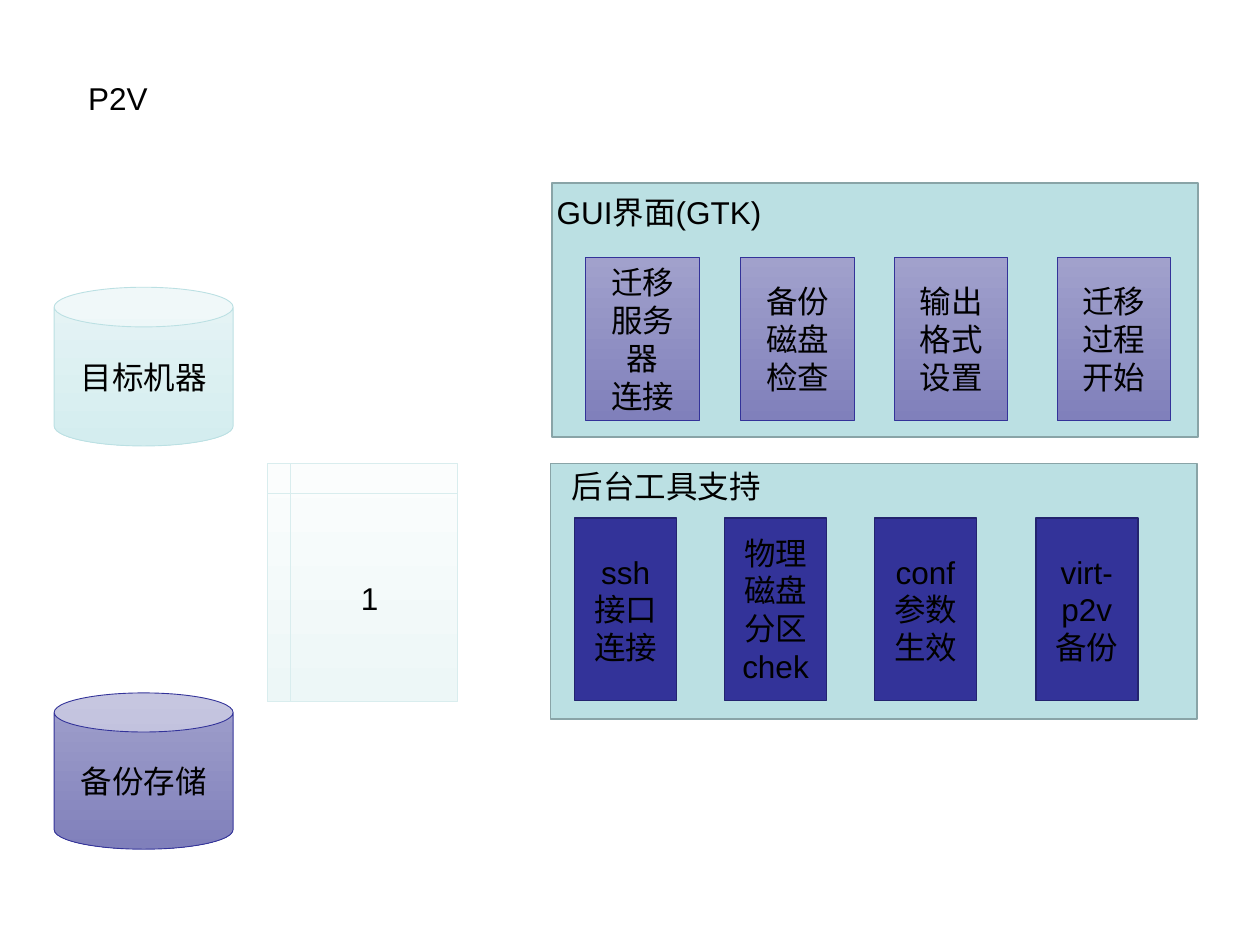
from collections import namedtuple

from pptx import Presentation
from pptx import util as u
from pptx.dml.color import RGBColor
from pptx.enum import shapes, text

COLORS = {
    "text": "000000",
    "panel": "BBE0E3", "panel_line": "89A4A7",
    "tool": "333399", "tool_line": "23236F",
    "violet_top": "A1A1CC", "violet_bottom": "8080BB",
    "aqua_top": "E6F4F5", "aqua_bottom": "D4EDEF",
    "pale_top": "FBFDFD", "pale_bottom": "EDF7F7", "pale_line": "D9EDEE",
}
COLUMNS, ROWS = 100, 75
WIDTH, HEIGHT = u.Inches(10), u.Inches(7.5)

Box = namedtuple("Box", "left top width height")
Style = namedtuple("Style", "fills line weight")

PANEL = Style(["panel"], "panel_line", 1)
TOOL = Style(["tool"], "tool_line", 1)
VIOLET = Style(["violet_top", "violet_bottom"], "tool", 0.5)
AQUA = Style(["aqua_top", "aqua_bottom"], "panel", 0.5)
PALE = Style(["pale_top", "pale_bottom"], "pale_line", 0.5)


def color(name):
    """Return the named colour."""
    return RGBColor.from_string(COLORS[name])


def on_grid(box):
    """Turn columns and rows into slide lengths."""
    return (int(box.left * WIDTH / COLUMNS), int(box.top * HEIGHT / ROWS),
            int(box.width * WIDTH / COLUMNS), int(box.height * HEIGHT / ROWS))


def write(shape, words, align, anchor, wrap):
    """Write and format the paragraphs of a shape."""
    frame = shape.text_frame
    frame.text = words
    frame.word_wrap = wrap
    frame.auto_size = text.MSO_AUTO_SIZE.NONE
    frame.vertical_anchor = anchor
    for paragraph in frame.paragraphs:
        paragraph.alignment = align
        paragraph.font.name = "Arial"
        paragraph.font.size = u.Pt(18)
        paragraph.font.color.rgb = color("text")


def write_label(shape, words):
    """Write one unwrapped line at the top left of a shape."""
    write(shape, words, text.PP_ALIGN.LEFT, text.MSO_ANCHOR.TOP, False)


def add_block(slide, kind, box, style, words=""):
    """Add a filled preset shape with centred words."""
    shape = slide.shapes.add_shape(kind, *on_grid(box))
    shape.shadow.inherit = False
    if len(style.fills) == 1:
        shape.fill.solid()
        shape.fill.fore_color.rgb = color(style.fills[0])
    else:
        shape.fill.gradient()
        shape.fill.gradient_angle = 270
        for stop, name in zip(shape.fill.gradient_stops, style.fills):
            stop.color.rgb = color(name)
    shape.line.color.rgb = color(style.line)
    shape.line.width = u.Pt(style.weight)
    if words:
        write(shape, words, text.PP_ALIGN.CENTER, text.MSO_ANCHOR.MIDDLE, True)


def add_title(slide, box, words):
    """Place the slide title in its box."""
    title = slide.shapes.title
    title.left, title.top, title.width, title.height = on_grid(box)
    write_label(title, words)


def add_panel(slide, box, heading, heading_box, card_box, style, cards):
    """Add a panel with a heading and a row of cards placed within its box."""
    rectangle = shapes.MSO_SHAPE.RECTANGLE

    def inside(part):
        return part._replace(left=box.left + part.left, top=box.top + part.top)

    add_block(slide, rectangle, box, PANEL)
    label = slide.shapes.add_textbox(*on_grid(inside(heading_box)))
    write_label(label, heading)
    for left, words in cards:
        add_block(slide, rectangle, inside(card_box._replace(left=left)), style, words)


def add_machines(slide, box):
    """Add the target machine, the backup storage and the step between them."""
    can = shapes.MSO_SHAPE.CAN
    storage = shapes.MSO_SHAPE.FLOWCHART_INTERNAL_STORAGE
    target = Box(box.left, box.top, 14.2, 12.6)
    backup = Box(box.left, box.top + box.height - 12.4, 14.2, 12.4)
    step = Box(box.left + box.width - 15.1, box.top + 14, 15.1, 18.9)
    add_block(slide, can, target, AQUA, "目标机器")
    add_block(slide, can, backup, VIOLET, "备份存储")
    add_block(slide, storage, step, PALE, "1 ")


def main():
    """Build the slide and save it."""
    presentation = Presentation()
    presentation.slide_width, presentation.slide_height = WIDTH, HEIGHT
    slide = presentation.slides.add_slide(presentation.slide_layouts[5])
    add_title(slide, Box(6, 5.8, 8, 4), "P2V")
    add_panel(
        slide, Box(43.7, 36.8, 51.3, 20.3), "后台工具支持",
        Box(0.7, -0.2, 17, 4), Box(0, 4.3, 8.1, 14.5), TOOL,
        [(1.9, "ssh接口连接"), (13.8, "物理磁盘分区chek"),
         (25.7, "conf参数生效"), (38.5, "virt-\np2v\n备份")])
    add_panel(
        slide, Box(43.8, 14.5, 51.3, 20.2), "GUI界面(GTK)",
        Box(-0.6, 0.3, 19.4, 4), Box(0, 5.9, 9, 13), VIOLET,
        [(2.7, "迁移服务器\n连接"), (15, "备份磁盘检查"),
         (27.2, "输出格式设置"), (40.1, "迁移过程开始")])
    add_machines(slide, Box(4.3, 22.8, 32, 44.6))
    presentation.save("out.pptx")


if __name__ == "__main__":
    main()
